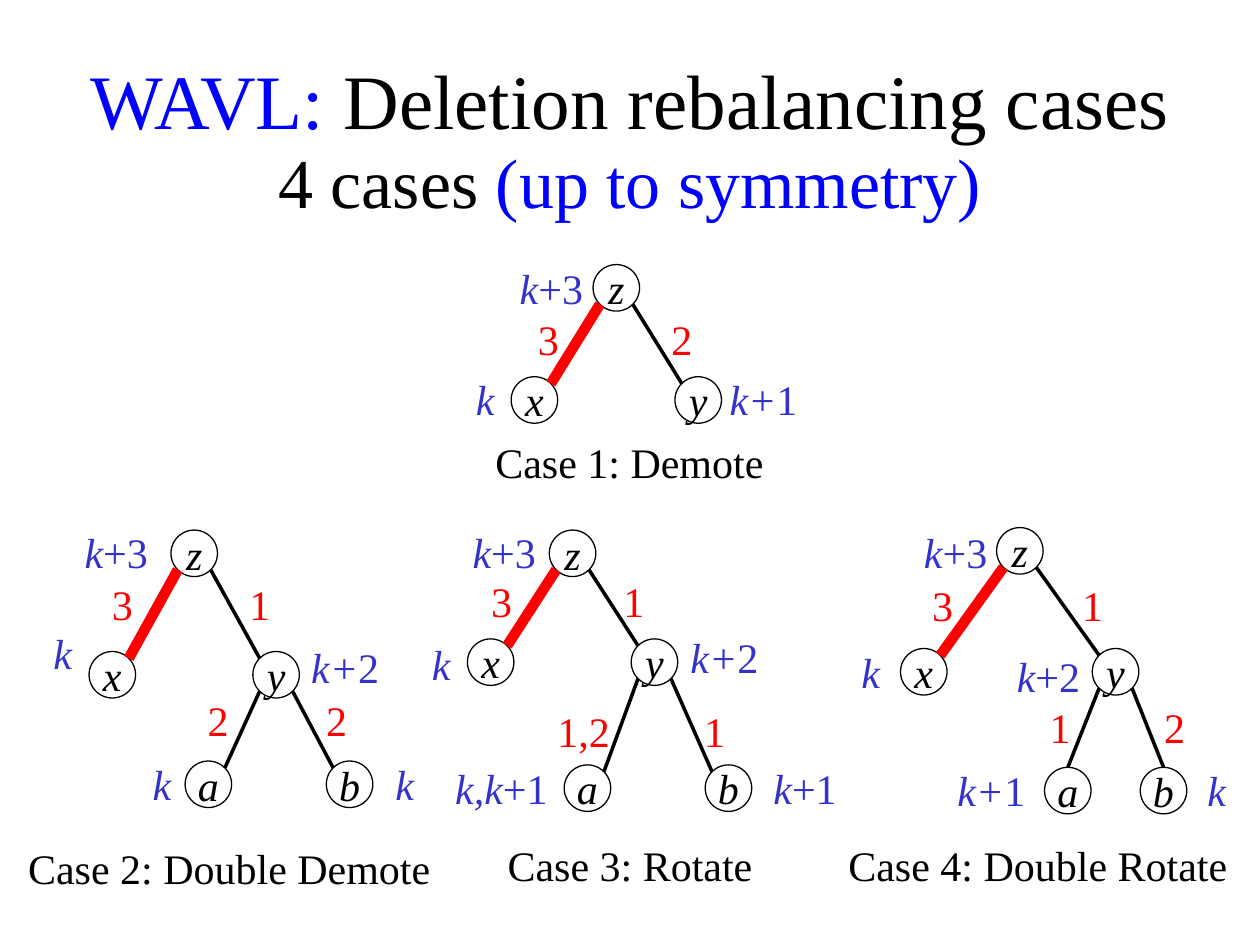
"""Build the slide of WAVL tree deletion rebalancing cases."""
from lxml.etree import SubElement
from pptx import Presentation
from pptx.dml.color import RGBColor as RGB
from pptx.enum.shapes import MSO_CONNECTOR as CONN, MSO_SHAPE as SHAPE
from pptx.enum.text import MSO_ANCHOR as ANCHOR, PP_ALIGN as ALIGN
from pptx.oxml.ns import qn
from pptx.util import Pt

COLORS = {"text": "000000", "accent": "0000FF", "rank": "3333CC", "diff": "FF0000"}
FONT = "Times New Roman"
DIAMETER = 26.6
RADIUS = DIAMETER / 2
CORNER = RADIUS * 0.707
BOX_H = 36
DIFF_W = 33.1

TITLE = [("WAVL: ", "accent", False), ("Deletion rebalancing cases", "text", False)]
SUBTITLE = [("4 cases ", "text", False), ("(up to symmetry)", "accent", False)]

CASES = [
    {
        "caption": ("Case 1: Demote", 268.6, 246.2, 182.2),
        "nodes": {"z": (352.2, 164.5), "y": (399, 228.6), "x": (305.4, 228.6)},
        "edges": ["zy", "zx"],
        "ranks": [("k+", "1", 407.5, 210.2, 57.6), ("k", "+3", 280.2, 146.2, 69.8),
                  ("k", "", 257.9, 210.2, 38.9)],
        "diffs": [("2", 373.1, 175.7, DIFF_W), ("3", 296.8, 175.7, DIFF_W)],
    },
    {
        "caption": ("Case 2: Double Demote", 0, 478.1, 262.1),
        "nodes": {"z": (111, 316.2), "y": (157.8, 385.6), "x": (64.2, 385.6),
                  "a": (119.1, 448.2), "b": (199.8, 448.2)},
        "edges": ["zy", "zx", "yb", "ya"],
        "ranks": [("k+", "2", 168.5, 362.9, 57.6), ("k", "+3", 35.8, 297.4, 61.2),
                  ("k", "", 16.4, 355, 38.9), ("k", "", 64.9, 429.8, 55.4),
                  ("k", "", 211.1, 429.8, 40.3)],
        "diffs": [("1", 131.9, 326.9, DIFF_W), ("3", 53.4, 326.9, DIFF_W),
                  ("2", 108.1, 393.1, DIFF_W), ("2", 175.8, 393.1, DIFF_W)],
    },
    {
        "caption": ("Case 3: Rotate", 281.5, 475.9, 157),
        "nodes": {"z": (327.2, 316.2), "y": (374, 378.4), "x": (280.4, 378.4),
                  "a": (335.7, 450.4), "b": (416.3, 450.4)},
        "edges": ["zy", "zx", "yb", "ya"],
        "ranks": [("k+", "2", 385.2, 357.1, 57.6), ("k", "+3", 255.7, 297.4, 64.8),
                  ("k", "", 232.7, 361.4, 38.9), ("k,k", "+1", 252.7, 432, 67.7),
                  ("k", "+1", 427.3, 432, 65.5)],
        "diffs": [("1", 345.7, 325.4, DIFF_W), ("3", 270.1, 325.4, DIFF_W),
                  ("1,2", 291.7, 399.6, 83.5), ("1", 391.8, 399.6, DIFF_W)],
    },
    {
        "caption": ("Case 4: Double Rotate", 475.4, 475.9, 235.4),
        "nodes": {"z": (582.8, 314.8), "y": (637.5, 383.9), "x": (527.9, 383.9),
                  "a": (610.2, 451.8), "b": (664.9, 451.8)},
        "edges": ["zy", "zx", "yb", "ya"],
        "top_joined": "ab",
        "diff_h": 26,
        "ranks": [("k", "+2", 568.9, 367.9, 60.5), ("k", "+3", 505.4, 297.4, 81.4),
                  ("k", "", 479.6, 365.8, 36), ("k+", "1", 530.8, 433.4, 71.3),
                  ("k", "", 677.6, 433.4, 35.3)],
        "diffs": [("1", 607.8, 327.6, DIFF_W), ("3", 522.1, 327.6, DIFF_W),
                  ("1", 589.3, 397.4, DIFF_W), ("2", 654.6, 397.4, DIFF_W)],
    },
]


def write(tf, runs, size=24, anchor=ANCHOR.TOP, top=3.6, bottom=0, spacing=None, wrap=False):
    """Fill a text frame with one centred paragraph of (text, colour, italic) runs."""
    tf.word_wrap = wrap
    tf.vertical_anchor = anchor
    tf.margin_top, tf.margin_bottom = Pt(top), Pt(bottom)
    p = tf.paragraphs[0]
    p.alignment = ALIGN.CENTER
    if spacing:
        p.line_spacing = spacing
    for text, color, italic in runs:
        r = p.add_run()
        r.text = text
        r.font.name = FONT
        r.font.size = Pt(size)
        r.font.bold = False
        r.font.italic = italic
        r.font.color.rgb = RGB.from_string(COLORS[color])


def add_text(s, runs, left, top, width, height=BOX_H, **fmt):
    """Add a text box with formatted runs."""
    box = s.shapes.add_textbox(Pt(left), Pt(top), Pt(width), Pt(height))
    write(box.text_frame, runs, **fmt)


def add_node(s, name, x, y):
    """Add a circular tree node centred on a point."""
    sp = s.shapes.add_shape(SHAPE.OVAL, Pt(x - RADIUS), Pt(y - RADIUS),
                            Pt(DIAMETER), Pt(DIAMETER))
    sp.shadow.inherit = False
    sp.fill.background()
    sp.line.color.rgb = RGB.from_string(COLORS["text"])
    sp.line.width = Pt(0.75)
    tf = sp.text_frame
    tf.margin_left = tf.margin_right = 0
    write(tf, [(name, "text", True)], anchor=ANCHOR.MIDDLE, top=0)


def add_edge(s, parent, child, deleted, at_top):
    """Join the rims of a parent and a child node."""
    (px, py), (cx, cy) = parent, child
    dx = CORNER if cx > px else -CORNER
    end = (cx, cy - RADIUS) if at_top else (cx - dx, cy - CORNER)
    line = s.shapes.add_connector(CONN.STRAIGHT, Pt(px + dx), Pt(py + CORNER),
                                  Pt(end[0]), Pt(end[1]))
    line.line.color.rgb = RGB.from_string(COLORS["diff" if deleted else "text"])
    line.line.width = Pt(6 if deleted else 2)
    SubElement(line._element.spPr, qn("a:effectLst"))


def add_case(s, case):
    """Draw one tree with its ranks, rank differences and caption."""
    nodes = case["nodes"]
    for name, (x, y) in nodes.items():
        add_node(s, name, x, y)
    for parent, child in case["edges"]:
        add_edge(s, nodes[parent], nodes[child], child == "x",
                 child in case.get("top_joined", ""))
    for slanted, upright, *place in case["ranks"]:
        runs = [(slanted, "rank", True), (upright, "rank", False)]
        add_text(s, [run for run in runs if run[0]], *place)
    for text, *place in case["diffs"]:
        add_text(s, [(text, "diff", False)], *place, case.get("diff_h", BOX_H))
    text, *place = case["caption"]
    add_text(s, [(text, "text", False)], *place)


def main():
    """Create and save the slide."""
    prs = Presentation()
    prs.slide_width, prs.slide_height = Pt(720), Pt(540)
    s = prs.slides.add_slide(prs.slide_layouts[5])
    title = s.shapes.title
    title.left, title.top, title.width, title.height = 0, Pt(26), Pt(720), Pt(73.4)
    write(title.text_frame, TITLE, size=44, anchor=ANCHOR.MIDDLE, top=0, bottom=5.7,
          spacing=0.9, wrap=True)
    for case in CASES:
        add_case(s, case)
    add_text(s, SUBTITLE, 0, 75.6, 720, 55.4, size=40, wrap=True)
    prs.save("out.pptx")


if __name__ == "__main__":
    main()
